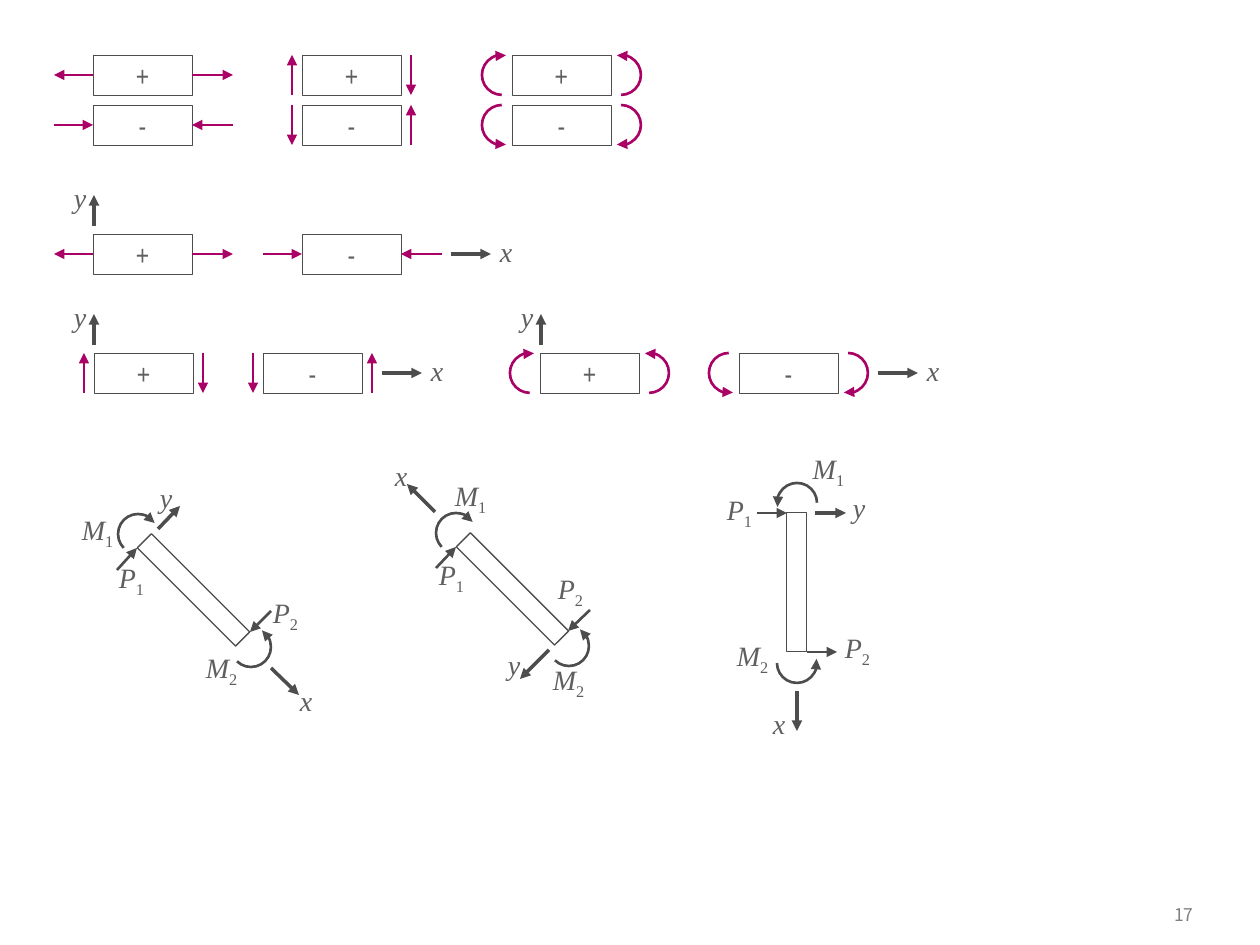
import pptx
import pptx.util
import pptx.dml.color
import pptx.enum.shapes
import pptx.enum.text
import pptx.oxml.ns
import lxml.etree

SHAPE = pptx.enum.shapes.MSO_SHAPE
ALIGN = pptx.enum.text.PP_ALIGN
ANCHOR = pptx.enum.text.MSO_ANCHOR
qn = pptx.oxml.ns.qn

PX = 914400 / 126
BEAM_W, BEAM_H = 99, 40
BAR_W, BAR_H = 139, 20
ARC = 40

THEME = {
    "force": "A90165", "ink": "4D4D4D", "text": "5F5F5F", "page": "808080",
    "sign_font": "Arial Narrow", "math_font": "Times New Roman",
    "page_font": "Noto Sans CJK KR", "size": 16, "page_size": 10,
    "hair": 0, "beam": 0.25, "bar": 0.75, "bold": 1.5,
}

PAGE = "17"

BEAMS = [
    ("axial", "+", 93, 55), ("axial", "-", 93, 105),
    ("shear", "+", 302, 55), ("shear", "-", 302, 105),
    ("moment", "+", 512, 55), ("moment", "-", 512, 105),
    ("axial", "+", 93, 234), ("axial", "-", 302, 234),
    ("shear", "+", 94, 353), ("shear", "-", 263, 353),
    ("moment", "+", 540, 353), ("moment", "-", 739, 353),
]

FRAMES = [(94, 234, 451), (94, 353, 382), (541, 353, 878)]

MEMBERS = [
    {
        "bar": (124, 580, 45),
        "loads": [(117, 570, 137, 548), (271, 611, 250, 632)],
        "moments": [(118, 514, 45, "HV"), (231, 627, 45, "V")],
        "axes": [(158, 529, 180, 506), (271, 668, 299, 695)],
        "names": [("P", "1", 112, 561), ("P", "2", 266, 596),
                  ("M", "1", 78, 513), ("M", "2", 202, 651)],
        "letters": [("x", 306, 698), ("y", 166, 495)],
    },
    {
        "bar": (443, 579, 45),
        "loads": [(436, 568, 456, 547), (590, 610, 568, 631)],
        "moments": [(436, 513, 45, "HV"), (549, 626, 45, "V")],
        "axes": [(549, 650, 520, 679), (435, 512, 407, 484)],
        "names": [("P", "1", 432, 558), ("P", "2", 551, 572),
                  ("M", "1", 451, 479), ("M", "2", 549, 663)],
        "letters": [("x", 401, 473), ("y", 514, 662)],
    },
    {
        "bar": (727, 572, 90),
        "loads": [(757, 513, 787, 513), (807, 652, 837, 652)],
        "moments": [(777, 483, 270, "V"), (777, 643, 90, "V")],
        "axes": [(815, 513, 846, 513), (797, 691, 797, 731)],
        "names": [("P", "1", 720, 493), ("P", "2", 838, 631),
                  ("M", "1", 809, 452), ("M", "2", 733, 639)],
        "letters": [("x", 779, 721), ("y", 859, 505)],
    },
]


def emu(*values):
    return [round(v * PX) for v in values]


def rgb(name):
    return pptx.dml.color.RGBColor.from_string(THEME[name])


def style_line(s, color, width, arrow=False):
    s.line.color.rgb = rgb(color)
    s.line.width = pptx.util.Pt(THEME[width])
    if arrow:
        ln = s.line._get_or_add_ln()
        lxml.etree.SubElement(ln, qn("a:tailEnd"), type="triangle")


def style_font(font, family, color="text", size="size"):
    font.name = THEME[family]
    font.size = pptx.util.Pt(THEME[size])
    font.color.rgb = rgb(color)


def add_arrow(shapes, points, color="ink", width="hair"):
    s = shapes.add_connector(pptx.enum.shapes.MSO_CONNECTOR.STRAIGHT, *emu(*points))
    style_line(s, color, width, arrow=True)
    lxml.etree.SubElement(s._element.spPr, qn("a:effectLst"))


def add_outline(shapes, kind, box, color, width, rotation=0, arrow=False):
    s = shapes.add_shape(kind, *emu(*box))
    s.shadow.inherit = False
    s.fill.background()
    s.rotation = rotation
    style_line(s, color, width, arrow)
    return s


def add_arc(shapes, x, y, rotation, flips, color):
    s = add_outline(shapes, SHAPE.ARC, (x, y, ARC, ARC), color, "bold", rotation, True)
    s.adjustments[0], s.adjustments[1] = 162.37, 60.91
    for axis in flips:
        s._element.spPr.find(qn("a:xfrm")).set("flip" + axis, "1")


def add_label(shapes, box, text, sub="", wrap=True, spacing=None):
    tf = shapes.add_textbox(*emu(*box)).text_frame
    tf.margin_left = tf.margin_right = tf.margin_top = tf.margin_bottom = 0
    tf.word_wrap = wrap
    p = tf.paragraphs[0]
    p.alignment = ALIGN.CENTER
    if spacing:
        p.line_spacing = spacing
    style_font(p.font, "math_font")
    r = p.add_run()
    r.text = text
    r.font.italic = True
    if sub:
        r = p.add_run()
        r.text = sub
        r._r.get_or_add_rPr().set("baseline", "-25000")


def add_letter(shapes, text, center, top):
    add_label(shapes, (center - 10, top, 20, 10), text, wrap=False, spacing=0.5)


def add_beam(shapes, kind, sign, x, y):
    s = add_outline(shapes, SHAPE.RECTANGLE, (x, y, BEAM_W, BEAM_H), "ink", "beam")
    tf = s.text_frame
    tf.word_wrap = False
    tf.vertical_anchor = ANCHOR.MIDDLE
    p = tf.paragraphs[0]
    p.text = sign
    p.alignment = ALIGN.CENTER
    style_font(p.font, "sign_font")

    right, mid, bottom = x + BEAM_W, y + BEAM_H // 2, y + BEAM_H
    if kind == "moment":
        flip = "V" if sign == "+" else ""
        add_arc(shapes, x - 30, y, 0, "H" + flip, "force")
        add_arc(shapes, right - 10, y, 0, flip, "force")
        return
    if kind == "axial":
        arrows = [(x, mid, x - 39, mid), (right, mid, right + 41, mid)]
    else:
        arrows = [(x - 10, bottom, x - 10, y), (right + 10, y, right + 10, bottom)]
    for x1, y1, x2, y2 in arrows:
        points = (x1, y1, x2, y2) if sign == "+" else (x2, y2, x1, y1)
        add_arrow(shapes, points, "force", "bold")


def add_frame(shapes, x, y, start):
    add_arrow(shapes, (x, y - 8, x, y - 39))
    add_letter(shapes, "y", x - 14, y - 39)
    add_arrow(shapes, (start, y + 20, start + 40, y + 20))
    add_letter(shapes, "x", start + 55, y + 15)


def add_member(shapes, member):
    x, y, rotation = member["bar"]
    add_outline(shapes, SHAPE.RECTANGLE, (x, y, BAR_W, BAR_H), "ink", "bar", rotation)
    for points in member["loads"]:
        add_arrow(shapes, points, width="bold")
    for moment in member["moments"]:
        add_arc(shapes, *moment, "ink")
    for points in member["axes"]:
        add_arrow(shapes, points)
    for name, sub, left, top in member["names"]:
        add_label(shapes, (left, top, 39, 44), name, sub)
    for letter in member["letters"]:
        add_letter(shapes, *letter)


def add_page_number(shapes):
    tf = shapes.add_textbox(*emu(1116, 893, 90, 42)).text_frame
    tf.word_wrap = True
    tf.vertical_anchor = ANCHOR.MIDDLE
    p = tf.paragraphs[0]
    p.text = PAGE
    p.alignment = ALIGN.RIGHT
    style_font(p.font, "page_font", "page", "page_size")


def main():
    prs = pptx.Presentation()
    prs.slide_width, prs.slide_height = emu(1260, 945)
    shapes = prs.slides.add_slide(prs.slide_layouts[6]).shapes
    add_page_number(shapes)
    for beam in BEAMS:
        add_beam(shapes, *beam)
    for frame in FRAMES:
        add_frame(shapes, *frame)
    for member in MEMBERS:
        add_member(shapes, member)
    prs.save("out.pptx")


if __name__ == "__main__":
    main()
